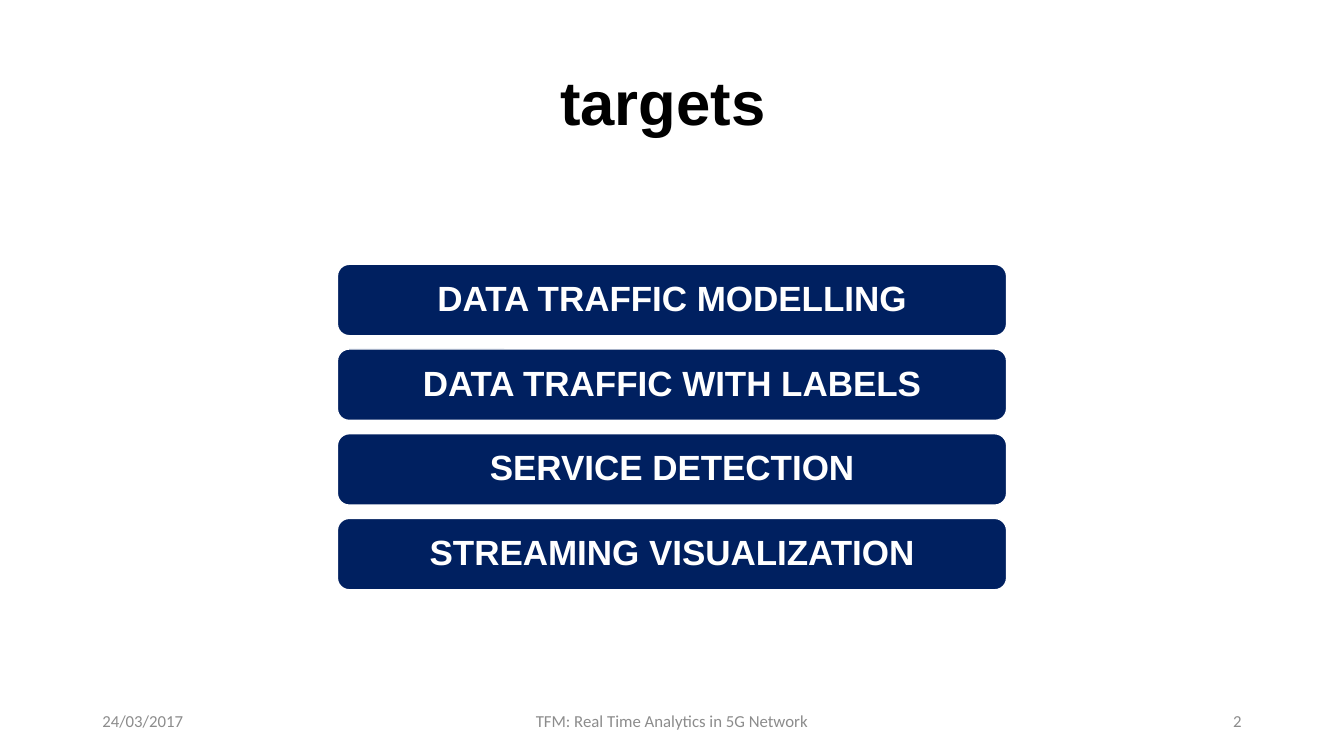
from pptx import Presentation
from pptx.dml.color import RGBColor
from pptx.enum.shapes import MSO_SHAPE
from pptx.enum.text import MSO_ANCHOR, PP_ALIGN
from pptx.util import Pt

LEFT, MID, RIGHT = PP_ALIGN.LEFT, PP_ALIGN.CENTER, PP_ALIGN.RIGHT
MIDDLE = MSO_ANCHOR.MIDDLE
ROUND = MSO_SHAPE.ROUNDED_RECTANGLE

COLORS = {"navy": "002060", "white": "FFFFFF", "black": "000000", "gray": "8C8C8C"}
FONTS = {
    "title": {"name": "Arial", "size": Pt(44), "bold": True},
    "bar": {"name": "Arial", "size": Pt(25), "bold": True},
    "foot": {"name": "Calibri", "size": Pt(12), "bold": False},
}


def color(key):
    return RGBColor.from_string(COLORS[key])


class Page:
    def __init__(self, slide):
        self.shapes = slide.shapes

    def label(self, shape, words, style, ink, align, spacing=1.0):
        frame = shape.text_frame
        frame.word_wrap = True
        frame.vertical_anchor = MIDDLE
        para = frame.paragraphs[0]
        para.alignment = align
        para.line_spacing = spacing
        run = para.add_run()
        run.text = words
        for key, value in FONTS[style].items():
            setattr(run.font, key, value)
        run.font.color.rgb = color(ink)

    def text(self, box, words, style, ink, align=MID):
        shape = self.shapes.add_textbox(*map(Pt, box))
        self.label(shape, words, style, ink, align)

    def bar(self, box, words):
        shape = self.shapes.add_shape(ROUND, *map(Pt, box))
        shape.shadow.inherit = False
        shape.fill.solid()
        shape.fill.fore_color.rgb = color("navy")
        shape.line.color.rgb = color("white")
        shape.line.width = Pt(1)
        self.label(shape, words, "bar", "white", MID, 0.9)


deck = Presentation()
deck.slide_width, deck.slide_height = Pt(960), Pt(540)
page = Page(deck.slides.add_slide(deck.slide_layouts[6]))

# Title
page.text((124, 32, 699, 80), "targets", "title", "black")

# Target bars
TOP, STEP = 188.8, 60.5
targets = ["DATA TRAFFIC MODELLING", "DATA TRAFFIC WITH LABELS",
           "SERVICE DETECTION", "STREAMING VISUALIZATION"]
for i, target in enumerate(targets):
    page.bar((241, TOP + i * STEP, 478, 51), target)

# Footer
for left, width, words, align in [
    (66, 216, "24/03/2017", LEFT),
    (318, 324, "TFM: Real Time Analytics in 5G Network", MID),
    (678, 216, "2", RIGHT),
]:
    page.text((left, 500.5, width, 28.75), words, "foot", "gray", align)

deck.save("out.pptx")
